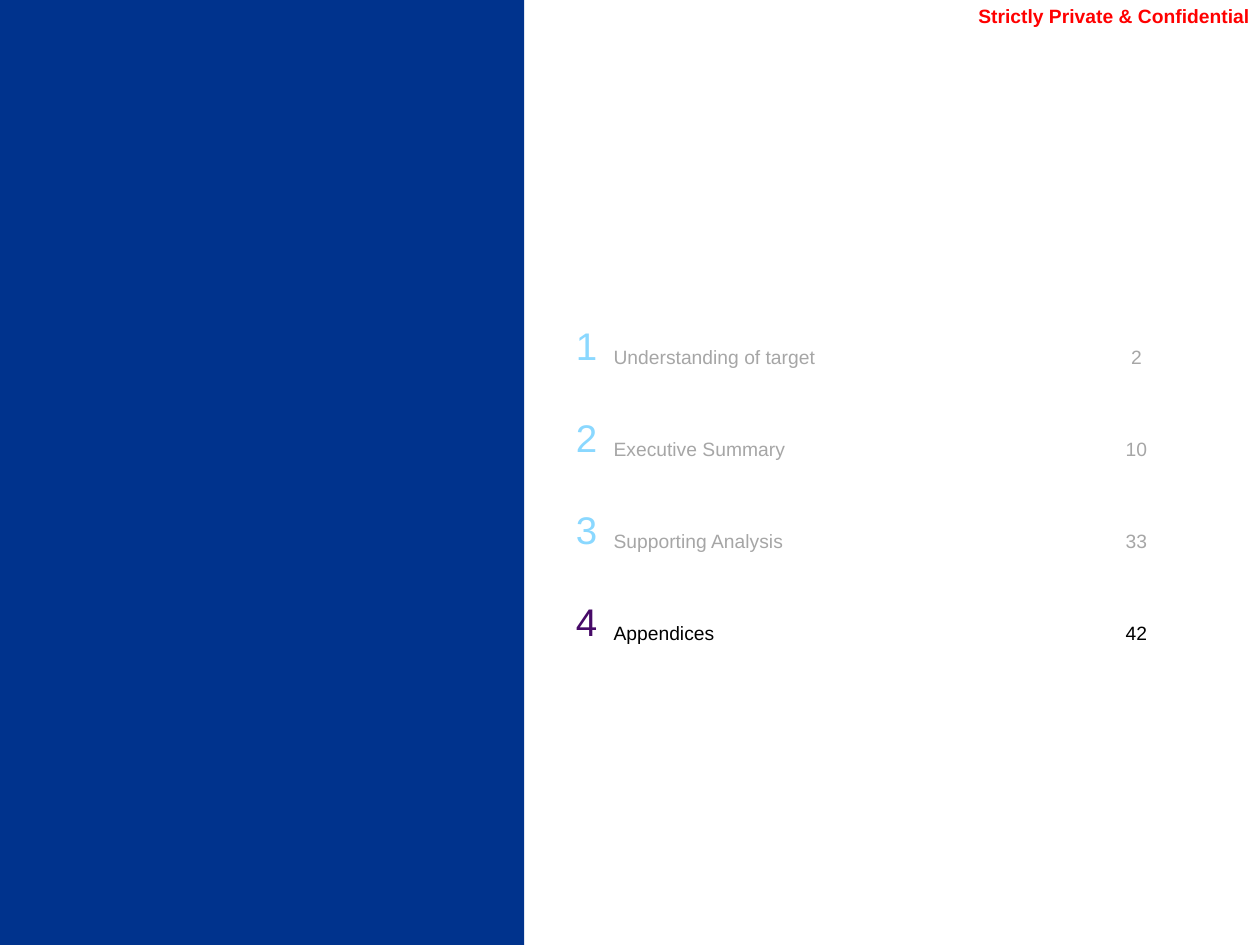
from pptx import Presentation
from pptx.dml.color import RGBColor
from pptx.enum.shapes import MSO_SHAPE
from pptx.enum.text import MSO_ANCHOR, PP_ALIGN
from pptx.util import Inches, Pt

NAVY = RGBColor(0x00, 0x33, 0x8D)
RED = RGBColor(0xFF, 0x00, 0x00)
SKY = RGBColor(0x8A, 0xD8, 0xFF)
PURPLE = RGBColor(0x47, 0x0A, 0x68)
GREY = RGBColor(0xA6, 0xA6, 0xA6)
BLACK = RGBColor(0x00, 0x00, 0x00)

SECTIONS = [
    ("Understanding of target", 2),
    ("Executive Summary", 10),
    ("Supporting Analysis", 33),
    ("Appendices", 42),
]
CURRENT_SECTION = 4
COLUMN_WIDTHS = (0.52, 3.99, 0.4)
ROW_HEIGHT = 0.73
# Left, top, right and bottom margins of each column
COLUMN_MARGINS = (
    (0.09, 0.05, 0.09, 0.05),
    (0.04, 0.22, 0, 0.05),
    (0.09, 0.22, 0.09, 0.05),
)
COLUMN_ALIGNMENTS = (PP_ALIGN.RIGHT, PP_ALIGN.LEFT, PP_ALIGN.CENTER)
COLUMN_SIZES = (22, 11, 11)


class PageBuilder:
    def __init__(self, page, font_name="Arial"):
        self.page = page
        self.font_name = font_name

    def set_margins(self, target, margins):
        left, top, right, bottom = (Inches(margin) for margin in margins)
        target.margin_left, target.margin_top = left, top
        target.margin_right, target.margin_bottom = right, bottom

    def set_text(self, frame, text, size, color, alignment, bold=False):
        frame.text = text
        para = frame.paragraphs[0]
        para.alignment = alignment
        font = para.runs[0].font
        font.name, font.size, font.bold = self.font_name, Pt(size), bold
        font.color.rgb = color

    def panel(self, left, top, width, height, color):
        shape = self.page.shapes.add_shape(
            MSO_SHAPE.RECTANGLE, Inches(left), Inches(top), Inches(width), Inches(height))
        shape.shadow.inherit = False
        shape.fill.solid()
        shape.fill.fore_color.rgb = color
        shape.line.fill.background()

    def label(self, left, top, width, height, text, size, color):
        box = self.page.shapes.add_textbox(
            Inches(left), Inches(top), Inches(width), Inches(height))
        frame = box.text_frame
        frame.word_wrap = True
        frame.vertical_anchor = MSO_ANCHOR.BOTTOM
        self.set_margins(frame, (0, 0.04, 0.04, 0.04))
        self.set_text(frame, text, size, color, PP_ALIGN.RIGHT, bold=True)

    def contents(self, left, top, sections, current):
        table = self.page.shapes.add_table(
            len(sections), len(COLUMN_WIDTHS), Inches(left), Inches(top),
            Inches(sum(COLUMN_WIDTHS)), Inches(ROW_HEIGHT * len(sections))).table
        table.first_row = table.horz_banding = False
        for column, width in zip(table.columns, COLUMN_WIDTHS):
            column.width = Inches(width)
        for number, (name, page_number) in enumerate(sections, start=1):
            table.rows[number - 1].height = Inches(ROW_HEIGHT)
            number_color, text_color = (PURPLE, BLACK) if number == current else (SKY, GREY)
            colors = (number_color, text_color, text_color)
            for index, text in enumerate((str(number), name, str(page_number))):
                cell = table.cell(number - 1, index)
                cell.fill.background()
                cell.vertical_anchor = MSO_ANCHOR.MIDDLE
                self.set_margins(cell, COLUMN_MARGINS[index])
                self.set_text(cell.text_frame, text, COLUMN_SIZES[index],
                              colors[index], COLUMN_ALIGNMENTS[index])


def main():
    deck = Presentation()
    deck.slide_width, deck.slide_height = Inches(10), Inches(7.5)
    # The slide has no title, so it uses the blank layout
    builder = PageBuilder(deck.slides.add_slide(deck.slide_layouts[6]))

    # Side panel and confidentiality mark
    builder.panel(0, 0, 4.16, 7.5, NAVY)
    builder.label(7.46, -0.01, 2.5, 0.27, "Strictly Private & Confidential", 11, RED)

    # Table of contents with the current section highlighted
    builder.contents(4.31, 2.39, SECTIONS, CURRENT_SECTION)

    deck.save("out.pptx")


if __name__ == "__main__":
    main()
